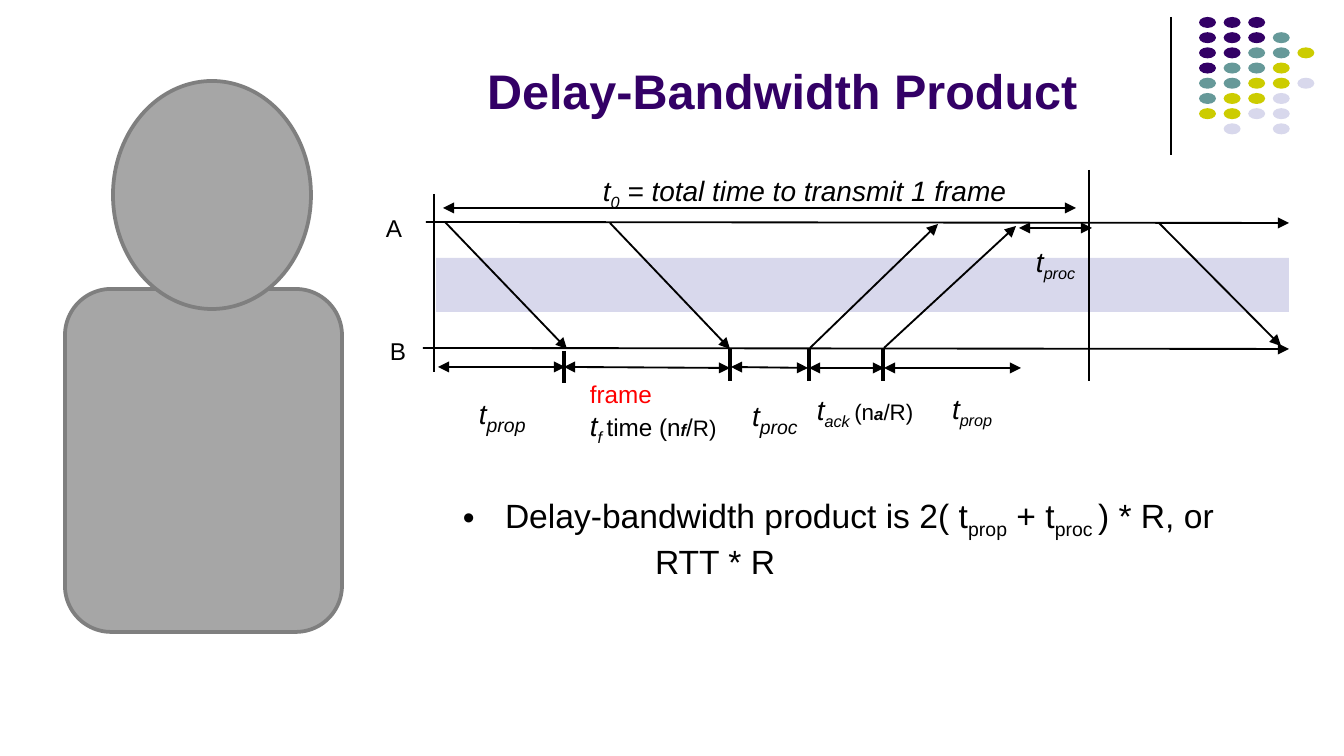
from lxml import etree
from pptx import Presentation
from pptx.dml.color import RGBColor
from pptx.enum import shapes, text
from pptx.oxml import ns
from pptx.util import Pt

PIXEL = 914400 / 134.4
BLACK = RGBColor(0x00, 0x00, 0x00)
RED = RGBColor(0xFF, 0x00, 0x00)
PURPLE = RGBColor(0x33, 0x00, 0x66)
TEAL = RGBColor(0x66, 0x99, 0x99)
OLIVE = RGBColor(0xCC, 0xCC, 0x00)
LAVENDER = RGBColor(0xD8, 0xD8, 0xEC)
GREY = RGBColor(0xA6, 0xA6, 0xA6)
DARK_GREY = RGBColor(0x7F, 0x7F, 0x7F)

presentation = Presentation()
presentation.slide_width = round(1344 * PIXEL)
presentation.slide_height = round(756 * PIXEL)
slide = presentation.slides.add_slide(presentation.slide_layouts[6])


def add_filled(kind, box, fill, outline=None):
    shape = slide.shapes.add_shape(kind, *[round(v * PIXEL) for v in box])
    shape.shadow.inherit = False
    shape.fill.solid()
    shape.fill.fore_color.rgb = fill
    if outline is None:
        shape.line.fill.background()
    else:
        shape.line.color.rgb = outline
        shape.line.width = Pt(2)


def add_label(box, paragraphs, color=BLACK, wrap=False, inset=(9, 5)):
    label = slide.shapes.add_textbox(*[round(v * PIXEL) for v in box])
    frame = label.text_frame
    frame.word_wrap = wrap
    frame.margin_left = frame.margin_right = round(inset[0] * PIXEL)
    frame.margin_top = frame.margin_bottom = round(inset[1] * PIXEL)
    for index, runs in enumerate(paragraphs):
        paragraph = frame.add_paragraph() if index else frame.paragraphs[0]
        for words, size, style in runs:
            run = paragraph.add_run()
            run.text = words
            run.font.name = "Arial"
            run.font.size = Pt(size)
            run.font.color.rgb = color
            run.font.bold = "b" in style
            run.font.italic = "i" in style
            if "s" in style:
                run.font._element.set("baseline", "-25000")
    return frame


dot_rows = ["PPP", "PPPT", "PPTTO", "PTTO", "TTOOL", "TOOL", "OOLL", " L L"]
dot_colors = {"P": PURPLE, "T": TEAL, "O": OLIVE, "L": LAVENDER}
for row, letters in enumerate(dot_rows):
    for column, letter in enumerate(letters):
        if letter in dot_colors:
            add_filled(shapes.MSO_SHAPE.OVAL, (1199 + 24.6 * column, 17 + 15.2 * row, 17, 11),
                       dot_colors[letter])

title = add_label((474, 13, 702, 113), [[("Delay-Bandwidth Product", 26, "b")]],
                  PURPLE, True, (13, 7))
title.vertical_anchor = text.MSO_ANCHOR.BOTTOM

add_filled(shapes.MSO_SHAPE.RECTANGLE, (436, 258, 853, 54), LAVENDER)

plain_lines = [(1171, 17, 1171, 155, 0.75), (434, 194, 434, 372, 1), (1089, 170, 1089, 381, 1)]
ticks = [(x, top, x, top + 32, 1.75) for x, top in [(564, 351), (730, 349), (809, 349), (883, 349)]]
arrows = [
    (426, 222, 1289, 223), (423, 348, 1289, 349),
    (445, 222, 567, 349), (610, 223, 730, 349), (810, 348, 938, 224),
    (884, 348, 1016, 226), (1159, 223, 1281, 346),
]
spans = [
    (443, 208, 1076, 208), (1019, 228, 1092, 228), (438, 367, 565, 367),
    (564, 367, 730, 368), (731, 367, 808, 368), (809, 368, 884, 368), (884, 368, 1021, 368),
]
lines = [(line, []) for line in plain_lines + ticks]
lines += [((*line, 1), ["a:tailEnd"]) for line in arrows]
lines += [((*line, 1), ["a:headEnd", "a:tailEnd"]) for line in spans]
for (*ends, width), heads in lines:
    connector = slide.shapes.add_connector(
        shapes.MSO_CONNECTOR.STRAIGHT, *[round(v * PIXEL) for v in ends])
    connector.line.color.rgb = BLACK
    connector.line.width = Pt(width)
    for head in heads:
        etree.SubElement(connector.line._get_or_add_ln(), ns.qn(head), type="triangle")
    etree.SubElement(connector._element.spPr, ns.qn("a:effectLst"))

add_label((377, 208, 36, 39), [[("A", 13, "")]])
add_label((381, 331, 36, 39), [[("B", 13, "")]])

for left, top, width, height, name, size in [
    (470, 386, 67, 55, "prop", 18), (743, 388, 66, 55, "proc", 18),
    (943, 387, 61, 48, "prop", 15), (1027, 240, 59, 48, "proc", 15),
]:
    add_label((left, top, width, height), [[("t", 15, "i"), (name, size, "is")]])

frame_label = add_label((581, 374, 151, 77), [
    [("frame", 13, "")],
    [("t", 15, "i"), ("f ", 15, "is"), ("time (n", 13, ""), ("f", 9, "bi"),
     ("/", 13, ""), ("R)", 12, "")],
])
frame_label.paragraphs[0].runs[0].font.color.rgb = RED

add_label((808, 388, 122, 48), [[
    ("t", 15, "i"), ("ack ", 15, "is"), ("(n", 12, ""), ("a", 9, "bi"), ("/R) ", 12, ""),
]])

total = add_label((594, 169, 465, 48), [[
    ("t", 15, "i"), ("0", 15, "is"), (" = total time to transmit 1 frame", 15, "i"),
]], wrap=True)
total.paragraphs[0].space_before = Pt(3.7)

add_filled(shapes.MSO_SHAPE.ROUNDED_RECTANGLE, (65, 289, 277, 343), GREY, DARK_GREY)
add_filled(shapes.MSO_SHAPE.OVAL, (113, 81, 198, 228), GREY, DARK_GREY)

product = add_label((450, 488, 831, 140), [
    [("Delay-bandwidth product is 2( t", 18, ""), ("prop", 18, "s"), (" + t", 18, ""),
     ("proc ", 18, "s"), (") * R, or", 18, "")],
    [("RTT * R", 18, "")],
], wrap=True, inset=(13, 7))
for paragraph, margin, indent in zip(product.paragraphs, (42, 192), (-42, 0)):
    properties = paragraph._p.get_or_add_pPr()
    properties.set("marL", str(round(margin * PIXEL)))
    properties.set("indent", str(round(indent * PIXEL)))
bullet = product.paragraphs[0]._p.get_or_add_pPr()
etree.SubElement(bullet, ns.qn("a:buFont"), typeface="Arial")
etree.SubElement(bullet, ns.qn("a:buChar"), char="•")

presentation.save("out.pptx")
